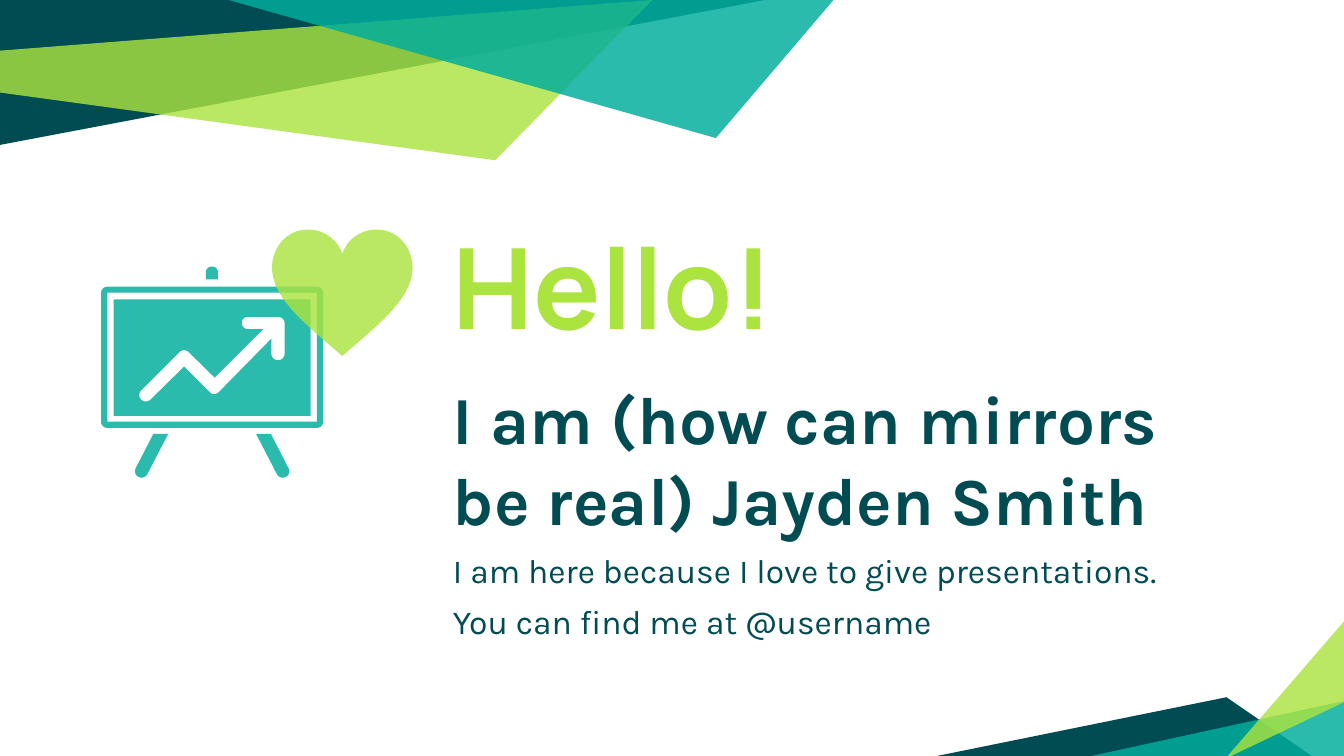
from lxml import etree
from pptx import Presentation
from pptx import util as u
from pptx.dml.color import RGBColor
from pptx.enum import text
from pptx.oxml.ns import qn

DARK, LIME, TEAL = "004C52", "ABE33F", "00AE9D"
LIME_ALPHA, TEAL_ALPHA = 81, 83


def color(code):
    return RGBColor.from_string(code)


def curve(start, pull_a, pull_b, end, steps=10):
    """Points along a cubic Bezier curve, both ends included."""
    points = []
    for step in range(steps + 1):
        t = step / steps
        weights = ((1 - t) ** 3, 3 * t * (1 - t) ** 2, 3 * t * t * (1 - t), t ** 3)
        corners = (start, pull_a, pull_b, end)
        points.append(tuple(sum(w * c[axis] for w, c in zip(weights, corners))
                            for axis in (0, 1)))
    return points


def toward(start, end, distance):
    dx, dy = end[0] - start[0], end[1] - start[1]
    share = distance / (dx * dx + dy * dy) ** 0.5
    return start[0] + dx * share, start[1] + dy * share


def rounded(corners):
    """Polygon from (x, y, radius) corners, with each corner rounded off."""
    points = []
    for index, (x, y, radius) in enumerate(corners):
        corner = (x, y)
        if not radius:
            points.append(corner)
            continue
        before = toward(corner, corners[index - 1], radius)
        after = toward(corner, corners[(index + 1) % len(corners)], radius)
        points += curve(before, toward(before, corner, 0.55 * radius),
                        toward(after, corner, 0.55 * radius), after, 6)
    return points


def rectangle(left, top, right, bottom, top_radius=0, bottom_radius=0):
    return rounded([(left, top, top_radius), (right, top, top_radius),
                    (right, bottom, bottom_radius), (left, bottom, bottom_radius)])


def mirror(points, axis):
    return [(2 * axis - x, y) for x, y in points]


class SlideBuilder:
    font = "Karla"
    title_font = "Manrope"

    def __init__(self, deck):
        self.page = deck.slides.add_slide(deck.slide_layouts[0])

    def outline(self, fill, *contours, alpha=None):
        """Filled shape; contours after the first cut holes in it."""
        builder = None
        for contour in contours:
            points = [(u.Cm(x), u.Cm(y)) for x, y in contour]
            if builder is None:
                builder = self.page.shapes.build_freeform(*points[0])
            else:
                builder.move_to(*points[0])
            builder.add_line_segments(points[1:], close=True)
        shape = builder.convert_to_shape()
        shape.shadow.inherit = False
        shape.line.fill.background()
        shape.fill.solid()
        shape.fill.fore_color.rgb = color(fill)
        if alpha:
            tint = next(shape.element.iter(qn("a:srgbClr")))
            etree.SubElement(tint, qn("a:alpha")).set("val", str(alpha * 1000))

    def placeholder(self, index, left, top, width, height, anchor):
        box = self.page.placeholders[index]
        box.element.getparent().append(box.element)
        box.left, box.top = u.Cm(left), u.Cm(top)
        box.width, box.height = u.Cm(width), u.Cm(height)
        frame = box.text_frame
        frame.word_wrap = True
        frame.auto_size = text.MSO_AUTO_SIZE.NONE
        frame.vertical_anchor = anchor
        frame.margin_left = frame.margin_right = u.Cm(0.25)
        frame.margin_top = frame.margin_bottom = u.Cm(0.25)
        return frame

    def add_words(self, para, words, size, fill, font, bold=False, before=0):
        para.alignment = text.PP_ALIGN.LEFT
        para.space_before = u.Pt(before)
        para.line_spacing = 1.0
        span = para.add_run()
        span.text = words
        span.font.name = font
        span.font.size = u.Pt(size)
        span.font.bold = bold
        span.font.color.rgb = color(fill)

    def title(self, words):
        frame = self.placeholder(0, 8.31, 3.76, 14.86, 3.23, text.MSO_ANCHOR.MIDDLE)
        self.add_words(frame.paragraphs[0], words, 60, LIME, self.title_font, True)

    def body(self, lines):
        frame = self.placeholder(1, 8.31, 6.88, 14.86, 6.1, text.MSO_ANCHOR.TOP)
        for index, (words, size, bold) in enumerate(lines):
            para = frame.add_paragraph() if index else frame.paragraphs[0]
            self.add_words(para, words, size, DARK, self.font, bold, before=6)

    def bands(self):
        self.outline(DARK, [(0, 0), (0, 2.74), (14.46, 0)])
        self.outline(LIME, [(-0.02, 0.96), (0, 1.75), (9.36, 3.03), (12.33, 0)],
                     alpha=LIME_ALPHA)
        self.outline(DARK, [(17.71, 14.29), (24.79, 14.29), (23.18, 13.18)])
        self.outline(TEAL, [(25.45, 13.24), (25.45, 14.34), (20.4, 14.34)],
                     alpha=TEAL_ALPHA)
        self.outline(LIME, [(25.45, 13.25), (25.45, 11.69), (23.16, 14.34)],
                     alpha=LIME_ALPHA)
        self.outline(TEAL, [(4.32, 0), (13.53, 2.61), (15.77, -0.02), (15.47, 0)],
                     alpha=TEAL_ALPHA)

    def chart_board(self):
        frame = (rectangle(1.91, 5.42, 6.11, 8.09, 0.12, 0.12),
                 rectangle(2.03, 5.53, 5.99, 7.97))
        knob = rectangle(3.89, 5.04, 4.12, 5.28, top_radius=0.11)
        leg = rounded([(2.9, 8.2, 0), (3.18, 8.2, 0),
                       (2.73, 9.07, 0.12), (2.51, 8.96, 0.12)])
        arrow = rounded([
            (5.38, 5.99, 0.12), (5.38, 6.81, 0.12), (5.13, 6.81, 0.12),
            (5.13, 6.4, 0), (4.05, 7.5, 0.12), (3.48, 6.93, 0),
            (2.76, 7.64, 0.12), (2.58, 7.47, 0.12), (3.48, 6.57, 0.12),
            (4.06, 7.14, 0), (4.98, 6.22, 0), (4.57, 6.22, 0.11), (4.57, 5.99, 0.11)])
        panel = (rectangle(2.15, 5.66, 5.87, 7.86), arrow)
        for part in (frame, [knob], [leg], [mirror(leg, 4.01)], panel):
            self.outline(TEAL, *part, alpha=TEAL_ALPHA)

    def heart(self):
        notch, crown, side, tip = (6.47, 4.8), (5.82, 4.34), (5.14, 5.08), (6.47, 6.73)
        left = (curve(notch, (6.38, 4.52), (6.12, 4.34), crown)
                + curve(crown, (5.44, 4.34), (5.14, 4.65), side)[1:]
                + curve(side, (5.16, 5.64), (5.74, 6.1), tip)[1:])
        right = mirror(left, notch[0])[-2:0:-1]
        self.outline(LIME, left + right, alpha=LIME_ALPHA)


def main():
    deck = Presentation()
    deck.slide_width, deck.slide_height = u.Cm(25.4), u.Cm(14.29)
    slide = SlideBuilder(deck)
    slide.bands()
    slide.title("Hello!")
    slide.body([
        ("I am (how can mirrors be real) Jayden Smith", 36, True),
        ("I am here because I love to give presentations.", 18, False),
        ("You can find me at @username", 18, False),
    ])
    slide.chart_board()
    slide.heart()
    deck.save("out.pptx")


if __name__ == "__main__":
    main()
